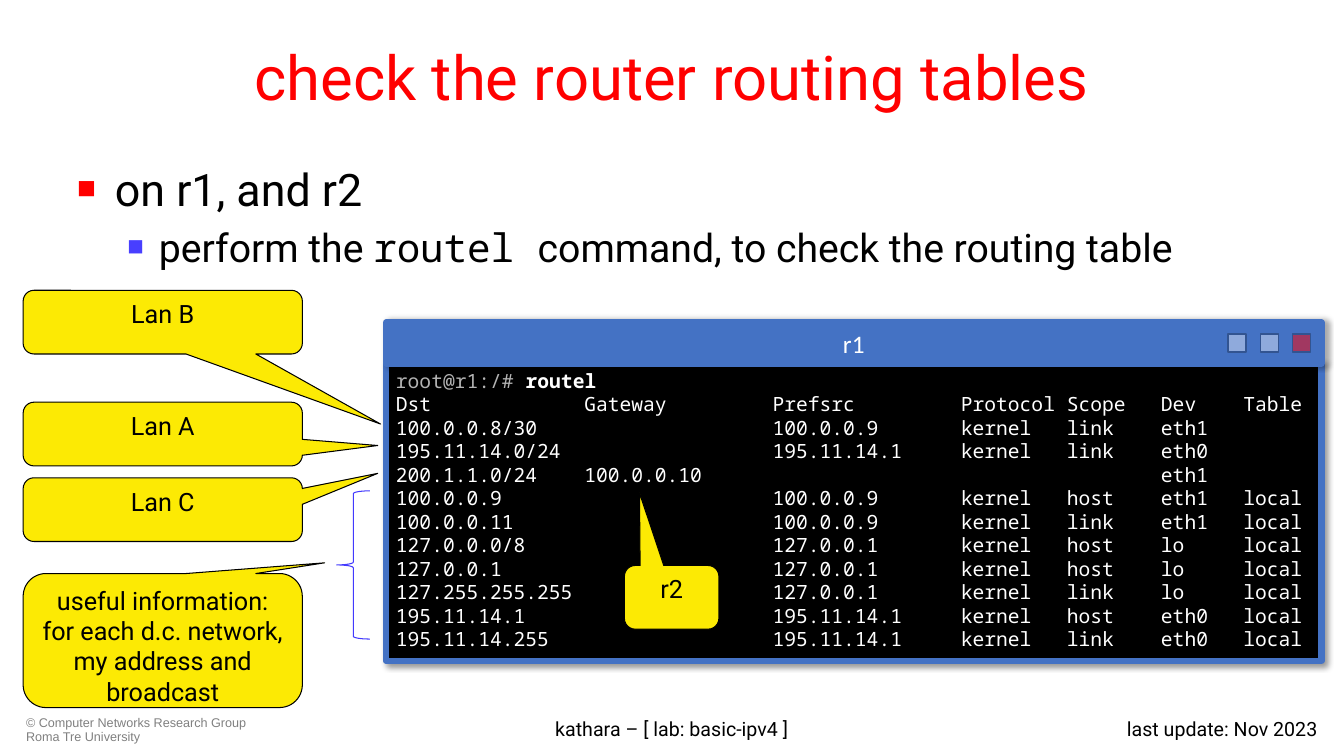
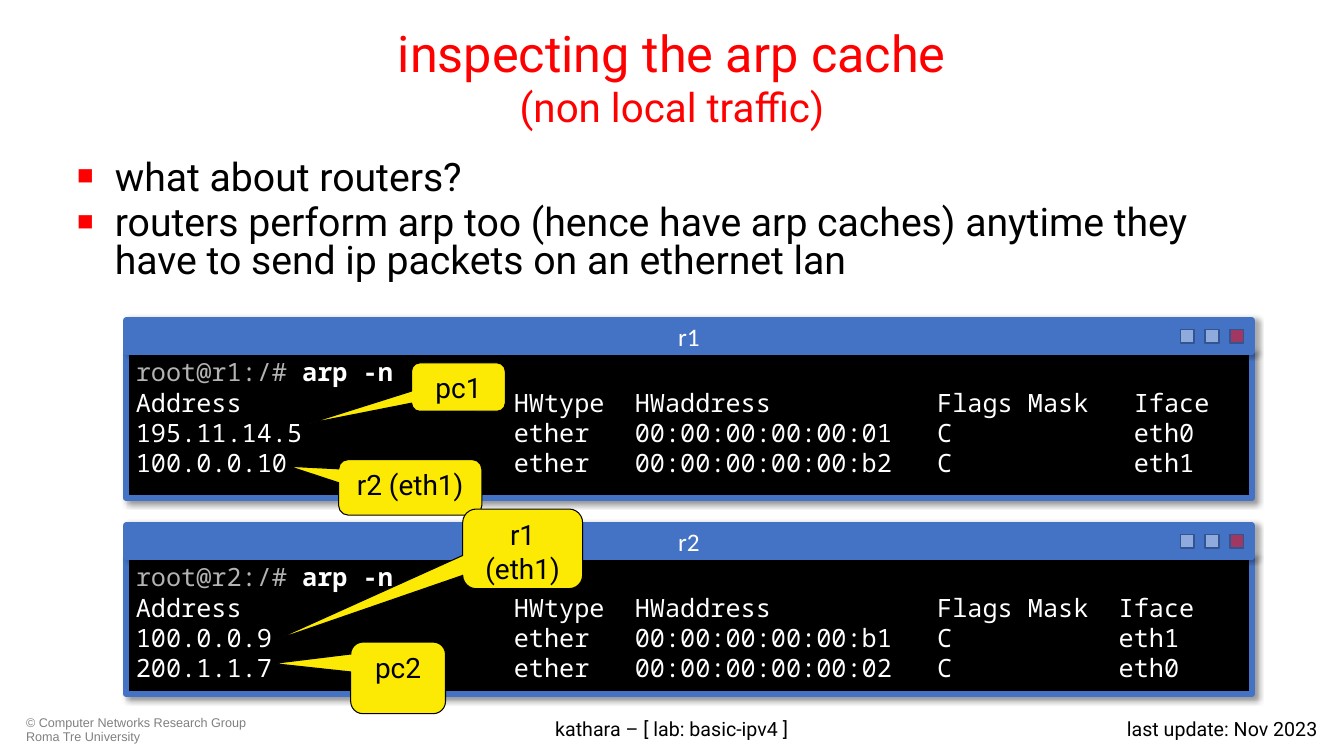
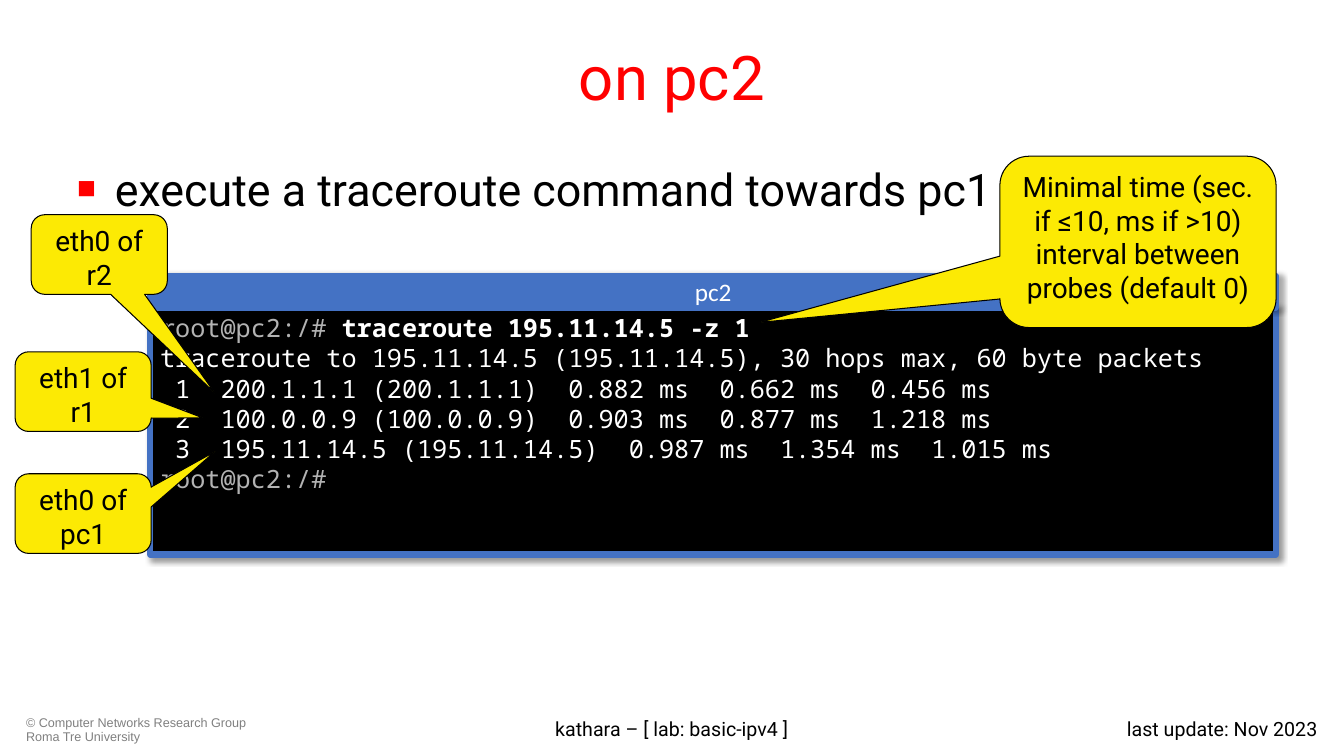
"""Build three slides of a networking lab on routing tables, arp caches and traceroute."""
from dataclasses import dataclass
from typing import NamedTuple

from lxml import etree
from pptx import Presentation
from pptx.dml.color import RGBColor
from pptx.enum.shapes import MSO_SHAPE
from pptx.enum.text import MSO_ANCHOR, MSO_AUTO_SIZE, PP_ALIGN
from pptx.oxml.ns import qn
from pptx.util import Pt

RECT = MSO_SHAPE.RECTANGLE
WEDGE = MSO_SHAPE.ROUNDED_RECTANGULAR_CALLOUT
BRACE = MSO_SHAPE.LEFT_BRACE
TOP, MIDDLE = MSO_ANCHOR.TOP, MSO_ANCHOR.MIDDLE
LEFT, CENTER, RIGHT = PP_ALIGN.LEFT, PP_ALIGN.CENTER, PP_ALIGN.RIGHT
NO_FIT = MSO_AUTO_SIZE.NONE

BLACK = RGBColor(0x00, 0x00, 0x00)
WHITE = RGBColor(0xFF, 0xFF, 0xFF)
RED = RGBColor(0xFF, 0x00, 0x00)
GRAY = RGBColor(0x80, 0x80, 0x80)
SILVER = RGBColor(0xB3, 0xB3, 0xB3)
BLUE = RGBColor(0x44, 0x72, 0xC4)
NAVY = RGBColor(0x32, 0x54, 0x91)
PALE = RGBColor(0x8F, 0xAA, 0xDC)
VIOLET = RGBColor(0x48, 0x3F, 0xFF)
INDIGO = RGBColor(0x42, 0x39, 0xFE)
YELLOW = RGBColor(0xFC, 0xEA, 0x04)

SANS, MONO, SMALL, LABEL = "Roboto", "Noto Sans Mono", "Arial", "Calibri"


class Box(NamedTuple):
    left: float
    top: float
    width: float
    height: float


@dataclass(frozen=True)
class Footer:
    box: Box
    text: str
    align: PP_ALIGN
    size: float = 14
    face: str = SANS
    color: RGBColor = BLACK
    space: float = 1.0


@dataclass(frozen=True)
class Level:
    margin: float
    hang: float
    color: RGBColor


@dataclass(frozen=True)
class Bullet:
    texts: tuple[str, ...]
    size: float
    level: int = 0


@dataclass(frozen=True)
class Window:
    name: str
    bar: Box
    depth: float
    size: float
    lines: tuple[str, ...]


@dataclass(frozen=True)
class Callout:
    text: str
    box: Box
    tip: tuple[float, float]
    size: float = 20
    anchor: MSO_ANCHOR = TOP


@dataclass(frozen=True)
class Page:
    title: tuple[tuple[str, float], ...]
    bullets: tuple[Bullet, ...]
    windows: tuple[Window, ...]
    callouts: tuple[Callout, ...]
    depth: float = 370.8
    space: float = 1.0
    brace: Box | None = None


TITLE = Box(48, 9.36, 864, 90)
LEVELS = (Level(27, -27, RED), Level(58.5, -22.5, VIOLET))
FOOTERS = (
    Footer(Box(11.52, 508.32, 179.28, 25.92),
           "© Computer Networks Research Group Roma Tre University",
           LEFT, 9, SMALL, GRAY, 0.9),
    Footer(Box(729.36, 508.32, 218.88, 25.92), "last update: Nov 2023", RIGHT),
    Footer(Box(245.52, 508.32, 468.72, 25.92), "kathara – [ lab: basic-ipv4 ]", CENTER),
)

PAGES = (
    Page(
        title=(("check the router routing tables", 44),),
        bullets=(
            Bullet(("on r1, and r2",), 32),
            Bullet(("perform the ", "routel ", "command, to check the routing table"), 28, 1),
        ),
        windows=(
            Window("r1", Box(275.76, 230.4, 668.16, 29.2), 212.4, 14, (
                "root@r1:/# routel",
                "Dst             Gateway         Prefsrc         Protocol Scope   Dev    Table",
                "100.0.0.8/30                    100.0.0.9       kernel   link    eth1",
                "195.11.14.0/24                  195.11.14.1     kernel   link    eth0",
                "200.1.1.0/24    100.0.0.10                                       eth1",
                "100.0.0.9                       100.0.0.9       kernel   host    eth1   local",
                "100.0.0.11                      100.0.0.9       kernel   link    eth1   local",
                "127.0.0.0/8                     127.0.0.1       kernel   host    lo     local",
                "127.0.0.1                       127.0.0.1       kernel   host    lo     local",
                "127.255.255.255                 127.0.0.1       kernel   link    lo     local",
                "195.11.14.1                     195.11.14.1     kernel   host    eth0   local",
                "195.11.14.255                   195.11.14.1     kernel   link    eth0   local",
            )),
        ),
        callouts=(
            Callout("Lan B", Box(16.56, 207.36, 199.44, 45.5), (0.78, 1.6), 18),
            Callout("Lan A", Box(16.56, 287.28, 199.44, 45.5), (0.77, 0.18), 18),
            Callout("Lan C", Box(16.56, 341.28, 199.44, 45.5), (0.77, -0.57), 18),
            Callout("r2", Box(446, 403.92, 67.5, 45.5), (-0.34, -1.64), 18),
            Callout("useful information: for each d.c. network, my address and broadcast",
                    Box(16.56, 409.68, 199.44, 95.76), (0.58, -0.58), 18),
        ),
        brace=Box(240.48, 350.64, 23.76, 105.84),
    ),
    Page(
        title=(("inspecting the arp cache", 36), ("(non local traffic)", 28.8)),
        bullets=(
            Bullet(("what about routers?",), 28),
            Bullet(("routers perform arp too (hence have arp caches) anytime they "
                    "have to send ip packets on an ethernet lan",), 28),
        ),
        windows=(
            Window("r1", Box(90, 229, 804.24, 22.3), 104.4, 18, (
                "root@r1:/# arp -n",
                "Address                  HWtype  HWaddress           Flags Mask   Iface",
                "195.11.14.5              ether   00:00:00:00:00:01   C            eth0",
                "100.0.0.10               ether   00:00:00:00:00:b2   C            eth1",
            )),
            Window("r2", Box(90, 375.4, 804.24, 22.3), 97.92, 18, (
                "root@r2:/# arp -n",
                "Address                  HWtype  HWaddress           Flags Mask  Iface",
                "100.0.0.9                ether   00:00:00:00:00:b1   C           eth1",
                "200.1.1.7                ether   00:00:00:00:00:02   C           eth0",
            )),
        ),
        callouts=(
            Callout("pc1", Box(294, 259.2, 66.96, 34.56), (-1.59, 0.75), anchor=MIDDLE),
            Callout("r2 (eth1)", Box(241.92, 328.32, 102.24, 39.6), (-0.85, -0.38)),
            Callout("pc2", Box(250.56, 458.64, 67.68, 51.12), (-1.32, -0.2)),
            Callout("r1 (eth1)", Box(330.48, 363.6, 85.68, 56.88), (-2.07, 1.15)),
        ),
        depth=110.16,
        space=0.8,
    ),
    Page(
        title=(("on pc2", 44),),
        bullets=(Bullet(("execute a traceroute command towards pc1",), 32),),
        windows=(
            Window("pc2", Box(107.28, 197.3, 804.24, 22.3), 176.4, 18, (
                "root@pc2:/# traceroute 195.11.14.5 -z 1",
                "traceroute to 195.11.14.5 (195.11.14.5), 30 hops max, 60 byte packets",
                " 1  200.1.1.1 (200.1.1.1)  0.882 ms  0.662 ms  0.456 ms",
                " 2  100.0.0.9 (100.0.0.9)  0.903 ms  0.877 ms  1.218 ms",
                " 3  195.11.14.5 (195.11.14.5)  0.987 ms  1.354 ms  1.015 ms",
                "root@pc2:/#",
            )),
        ),
        callouts=(
            Callout("eth0 of r2", Box(22.32, 153.36, 97.2, 56.88), (0.85, 1.74)),
            Callout("eth1 of r1", Box(10.8, 251.28, 97.2, 56.88), (0.88, 0.33)),
            Callout("eth0 of pc1", Box(10.8, 338.4, 97.2, 56.88), (0.97, -0.78)),
            Callout("Minimal time (sec. if ≤10, ms if >10) interval between probes (default 0)",
                    Box(714.24, 111.6, 197.28, 122.4), (-1.37, 0.47)),
        ),
    ),
)


def points(box: Box) -> list[Pt]:
    return [Pt(value) for value in box]


def style(font, face: str, size: float, color: RGBColor) -> None:
    font.name, font.size = face, Pt(size)
    font.color.rgb = color


def add_shape(slide, kind: MSO_SHAPE, box: Box, fill: RGBColor | None,
              line: RGBColor, weight: float):
    shape = slide.shapes.add_shape(kind, *points(box))
    shape.shadow.inherit = False
    if fill is None:
        shape.fill.background()
    else:
        shape.fill.solid()
        shape.fill.fore_color.rgb = fill
    shape.line.color.rgb = line
    shape.line.width = Pt(weight)
    return shape


def add_text(slide, box: Box):
    frame = slide.shapes.add_textbox(*points(box)).text_frame
    frame.word_wrap = True
    return frame


def set_text(shape, text: str, face: str, size: float, color: RGBColor,
             anchor: MSO_ANCHOR) -> None:
    frame = shape.text_frame
    frame.vertical_anchor = anchor
    para = frame.paragraphs[0]
    para.text, para.alignment = text, CENTER
    style(para.font, face, size, color)


def add_alpha(color, percent: int) -> None:
    etree.SubElement(color, qn("a:alpha"), val=str(percent * 1000))


def cast(shape, alpha: int, blur: float, gap: float, angle: int) -> None:
    effects = shape._element.spPr.find(qn("a:effectLst"))
    shade = etree.SubElement(effects, qn("a:outerShdw"), blurRad=str(Pt(blur)),
                             dist=str(Pt(gap)), dir=str(angle * 60000),
                             algn="tl", rotWithShape="0")
    add_alpha(etree.SubElement(shade, qn("a:srgbClr"), val=str(BLACK)), alpha)


def set_title(slide, lines: tuple[tuple[str, float], ...]) -> None:
    title = slide.shapes.title
    title.left, title.top, title.width, title.height = points(TITLE)
    frame = title.text_frame
    frame.auto_size, frame.vertical_anchor = NO_FIT, MIDDLE
    para = frame.paragraphs[0]
    para.alignment = CENTER
    style(para.font, SANS, lines[0][1], RED)
    for index, (text, size) in enumerate(lines):
        if index:
            para.add_line_break()
        run = para.add_run()
        run.text, run.font.size = text, Pt(size)


def add_mark(para, level: Level) -> None:
    props = para._p.get_or_add_pPr()
    props.set("marL", str(Pt(level.margin)))
    props.set("indent", str(Pt(level.hang)))
    color = etree.SubElement(props, qn("a:buClr"))
    etree.SubElement(color, qn("a:srgbClr"), val=str(level.color))
    etree.SubElement(props, qn("a:buSzPct"), val="70000")
    etree.SubElement(props, qn("a:buFont"), typeface=SMALL)
    etree.SubElement(props, qn("a:buChar"), char="■")


def add_body(slide, page: Page) -> None:
    frame = add_text(slide, Box(48, 111.6, 864, page.depth))
    for index, item in enumerate(page.bullets):
        para = frame.add_paragraph() if index else frame.paragraphs[0]
        add_mark(para, LEVELS[item.level])
        para.level = item.level
        para.line_spacing = page.space
        para.space_before = Pt(0.2 * item.size if index else 0)
        style(para.font, SANS, item.size, BLACK)
        for place, text in enumerate(item.texts):
            run = para.add_run()
            run.text = text
            if place % 2:
                run.font.name = MONO


def add_line(para, text: str, size: float) -> None:
    style(para.font, MONO, size, WHITE)
    if not text.startswith("root@"):
        para.add_run().text = text
        return
    host, mark, command = text.partition("# ")
    prompt = para.add_run()
    prompt.text = host + mark
    prompt.font.color.rgb = SILVER
    if command:
        run = para.add_run()
        run.text, run.font.bold = command, True


def add_window(slide, window: Window) -> None:
    bar = window.bar
    pane = Box(bar.left, bar.top + bar.height, bar.width, window.depth)
    screen = add_shape(slide, RECT, pane, BLACK, BLUE, 4.5)
    cast(screen, 40, 4, 3, 45)
    frame = screen.text_frame
    frame.vertical_anchor = TOP
    for index, text in enumerate(window.lines):
        para = frame.add_paragraph() if index else frame.paragraphs[0]
        para.alignment = LEFT
        add_line(para, text, window.size)

    header = add_shape(slide, RECT, bar, BLUE, BLUE, 4.5)
    cast(header, 32, 4, 2, 0)
    set_text(header, window.name, LABEL, 18, WHITE, MIDDLE)

    side = 0.44 * bar.height
    top = bar.top + (bar.height - side) / 2
    for index, fill in enumerate((RED, PALE, PALE)):
        left = bar.left + bar.width - (1.6 + 1.8 * index) * side
        button = add_shape(slide, RECT, Box(left, top, side, side), fill, NAVY, 1)
        if fill == RED:
            add_alpha(button._element.spPr.find(qn("a:solidFill"))[0], 50)


def add_callout(slide, note: Callout) -> None:
    shape = add_shape(slide, WEDGE, note.box, YELLOW, BLACK, 0.75)
    for index, value in enumerate((*note.tip, 0.17)):
        shape.adjustments[index] = value
    set_text(shape, note.text, SANS, note.size, BLACK, note.anchor)


def add_footer(slide, footer: Footer) -> None:
    para = add_text(slide, footer.box).paragraphs[0]
    para.text, para.alignment = footer.text, footer.align
    para.line_spacing = footer.space
    style(para.font, footer.face, footer.size, footer.color)


def add_page(deck, page: Page) -> None:
    slide = deck.slides.add_slide(deck.slide_layouts[5])
    set_title(slide, page.title)
    add_body(slide, page)
    for footer in FOOTERS:
        add_footer(slide, footer)
    for window in page.windows:
        add_window(slide, window)
    for note in page.callouts:
        add_callout(slide, note)
    if page.brace:
        add_shape(slide, BRACE, page.brace, None, INDIGO, 0.75)


def main() -> None:
    deck = Presentation()
    deck.slide_width, deck.slide_height = Pt(960), Pt(540)
    for page in PAGES:
        add_page(deck, page)
    deck.save("out.pptx")


if __name__ == "__main__":
    main()
